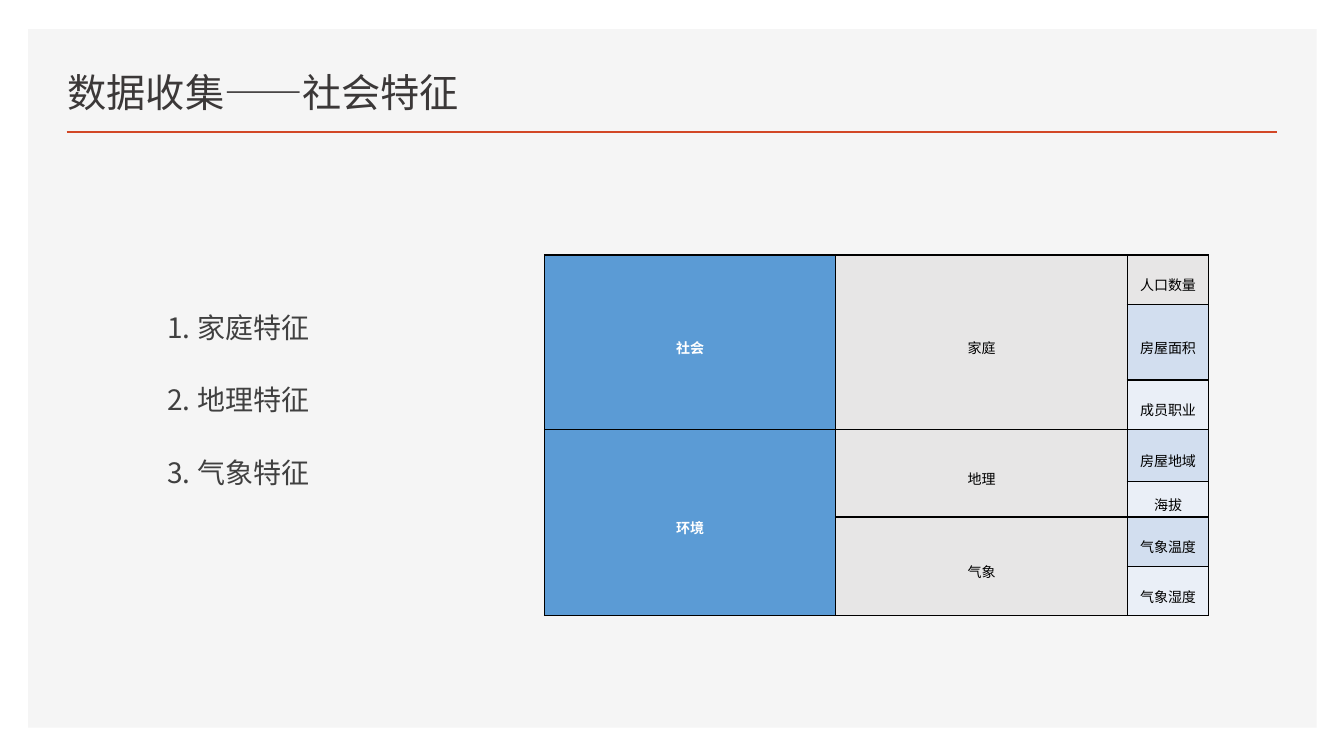
from lxml.etree import SubElement
from pptx import Presentation
from pptx.dml.color import RGBColor
from pptx.enum.shapes import MSO_CONNECTOR as Connector, MSO_SHAPE as Shape
from pptx.enum.text import MSO_ANCHOR as Anchor, MSO_AUTO_SIZE as AutoSize, PP_ALIGN as Align
from pptx.oxml.ns import qn
from pptx.util import Inches, Pt

WIDTH, HEIGHT = 13.33, 7.5
CJK_FONT, TABLE_FONT = "Noto Sans CJK SC", "Lato"
BLUE, GREY, BAND_DARK, BAND_LIGHT = "5B9BD5", "E7E6E6", "D2DEEF", "EAEFF7"

COLUMNS = [2.89, 2.89, 0.81]
ROWS = [0.49, 0.75, 0.49, 0.52, 0.35, 0.49, 0.49]
# Each entry: label, first row, number of rows
DOMAINS = [("社会", 0, 3), ("环境", 3, 4)]
GROUPS = [("家庭", 0, 3), ("地理", 3, 2), ("气象", 5, 2)]
FEATURES = ["人口数量", "房屋面积", "成员职业", "房屋地域", "海拔", "气象温度", "气象湿度"]


def color(value):
    return RGBColor.from_string(value)


def style(para, size, value, latin, bold=False):
    font = para.font
    font.size, font.bold, font.name = Pt(size), bold, latin
    font.color.rgb = color(value)
    properties = para._p.pPr.find(qn("a:defRPr"))
    SubElement(properties, qn("a:ea")).set("typeface", CJK_FONT)
    return properties


def place(shape, box):
    shape.left, shape.top, shape.width, shape.height = map(Inches, box)


def add_backdrop(page, box):
    panel = page.shapes.add_shape(Shape.RECTANGLE, *map(Inches, box))
    panel.shadow.inherit = False
    panel.fill.solid()
    panel.fill.fore_color.rgb = color("F5F5F5")
    panel.line.fill.background()
    # Keep the panel behind the placeholders
    page.shapes._spTree.insert(2, panel._element)


def add_title(page, box, rule_right):
    left, top, width, height = box
    title = page.shapes.title
    place(title, box)
    frame = title.text_frame
    frame.text = "数据收集——社会特征"
    frame.vertical_anchor, frame.auto_size = Anchor.BOTTOM, AutoSize.NONE
    para = frame.paragraphs[0]
    para.alignment = Align.LEFT
    style(para, 28, "3B3838", CJK_FONT)

    rule_y = Inches(top + height + 0.12)
    rule = page.shapes.add_connector(
        Connector.STRAIGHT, Inches(left + 0.09), rule_y, Inches(rule_right), rule_y)
    rule.line.color.rgb, rule.line.width = color("D24726"), Pt(2)
    SubElement(rule._element.spPr, qn("a:effectLst"))


def add_feature_list(page, box):
    body = page.placeholders[1]
    place(body, box)
    frame = body.text_frame
    frame.text = "1. 家庭特征\n2. 地理特征\n3. 气象特征"
    frame.vertical_anchor, frame.auto_size = Anchor.TOP, AutoSize.NONE
    for para in frame.paragraphs:
        para.line_spacing, para.space_before, para.space_after = Pt(36), Pt(0), Pt(16)
        properties = style(para, 20, "404040", CJK_FONT)
        layout = para._p.pPr
        layout.set("marL", "0")
        layout.set("indent", "0")
        properties.addprevious(SubElement(layout, qn("a:buNone")))


def add_borders(cell):
    properties = cell._tc.get_or_add_tcPr()
    for position, side in enumerate(("lnL", "lnR", "lnT", "lnB")):
        border = SubElement(properties, qn(f"a:{side}"), w=str(Pt(1)))
        fill = SubElement(border, qn("a:solidFill"))
        SubElement(fill, qn("a:srgbClr"), val="000000")
        properties.insert(position, border)


def fill_block(table, column, label, first, count, fill, text="000000", bold=False):
    """Write one label into a cell that spans count rows."""
    for row in range(first, first + count):
        cell = table.cell(row, column)
        cell.fill.solid()
        cell.fill.fore_color.rgb = color(fill)
        add_borders(cell)
    cell = table.cell(first, column)
    if count > 1:
        cell.merge(table.cell(first + count - 1, column))
    cell.text = label
    cell.vertical_anchor = Anchor.MIDDLE
    cell.margin_left = cell.margin_right = Inches(0.07)
    cell.margin_top = cell.margin_bottom = 0
    para = cell.text_frame.paragraphs[0]
    para.alignment, para.line_spacing = Align.CENTER, 1.5
    style(para, 10, text, TABLE_FONT, bold)


def add_feature_table(page, left, top):
    table = page.shapes.add_table(
        len(ROWS), len(COLUMNS), Inches(left), Inches(top),
        Inches(sum(COLUMNS)), Inches(sum(ROWS))).table
    table.first_row = table.horz_banding = False
    for column, width in zip(table.columns, COLUMNS):
        column.width = Inches(width)
    for row, height in zip(table.rows, ROWS):
        row.height = Inches(height)
    # Unused merged cells must not force the rows taller
    for cell in table.iter_cells():
        cell.margin_top = cell.margin_bottom = 0
        cell.text_frame.paragraphs[0].font.size = Pt(10)

    for domain in DOMAINS:
        fill_block(table, 0, *domain, BLUE, "FFFFFF", True)
    for group in GROUPS:
        fill_block(table, 1, *group, GREY)
    for row, feature in enumerate(FEATURES):
        band = BAND_DARK if row % 2 else BAND_LIGHT
        fill_block(table, 2, feature, row, 1, band if row else GREY)


def main():
    deck = Presentation()
    deck.slide_width, deck.slide_height = Inches(WIDTH), Inches(HEIGHT)
    page = deck.slides.add_slide(deck.slide_layouts[1])
    add_backdrop(page, (0.28, 0.29, 12.78, 6.93))
    add_title(page, (0.57, 0.49, 7.52, 0.7), rule_right=12.67)
    add_feature_list(page, (1.56, 2.86, 4.73, 2.5))
    add_feature_table(page, 5.4, 2.53)
    deck.save("out.pptx")


if __name__ == "__main__":
    main()
